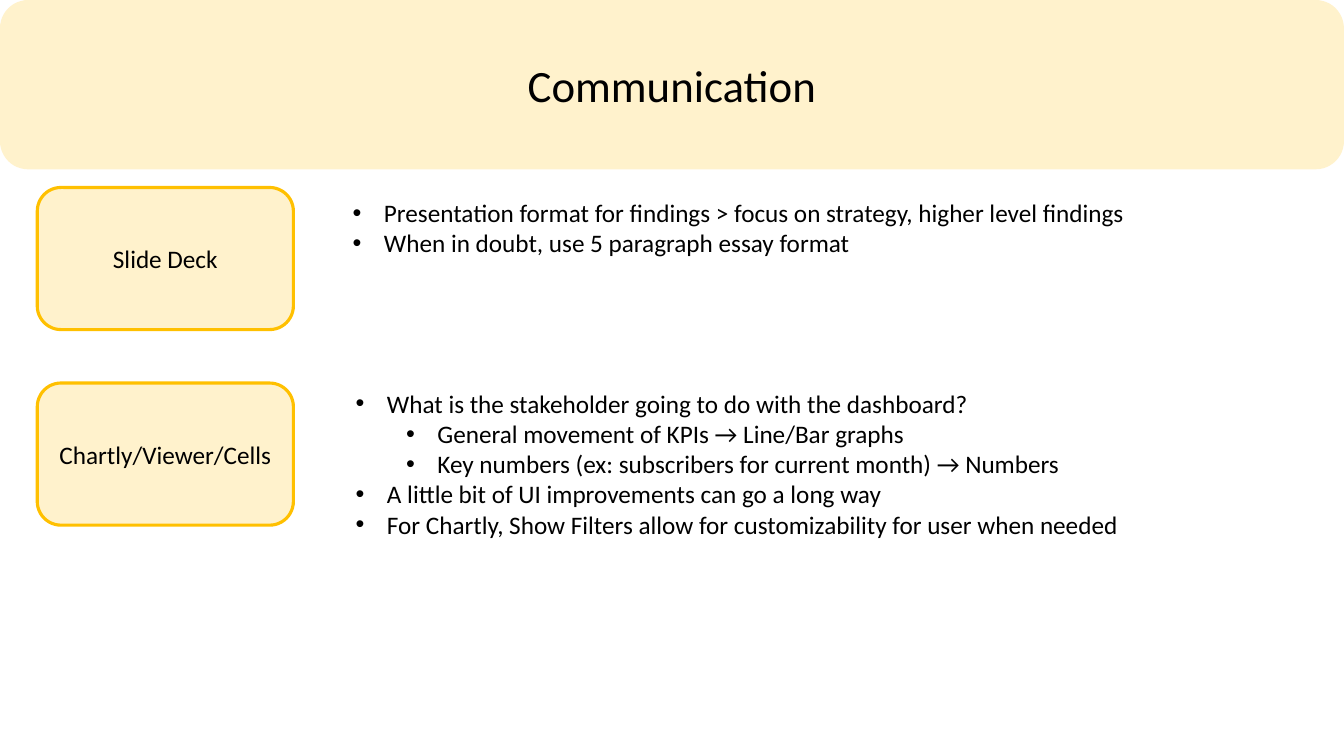
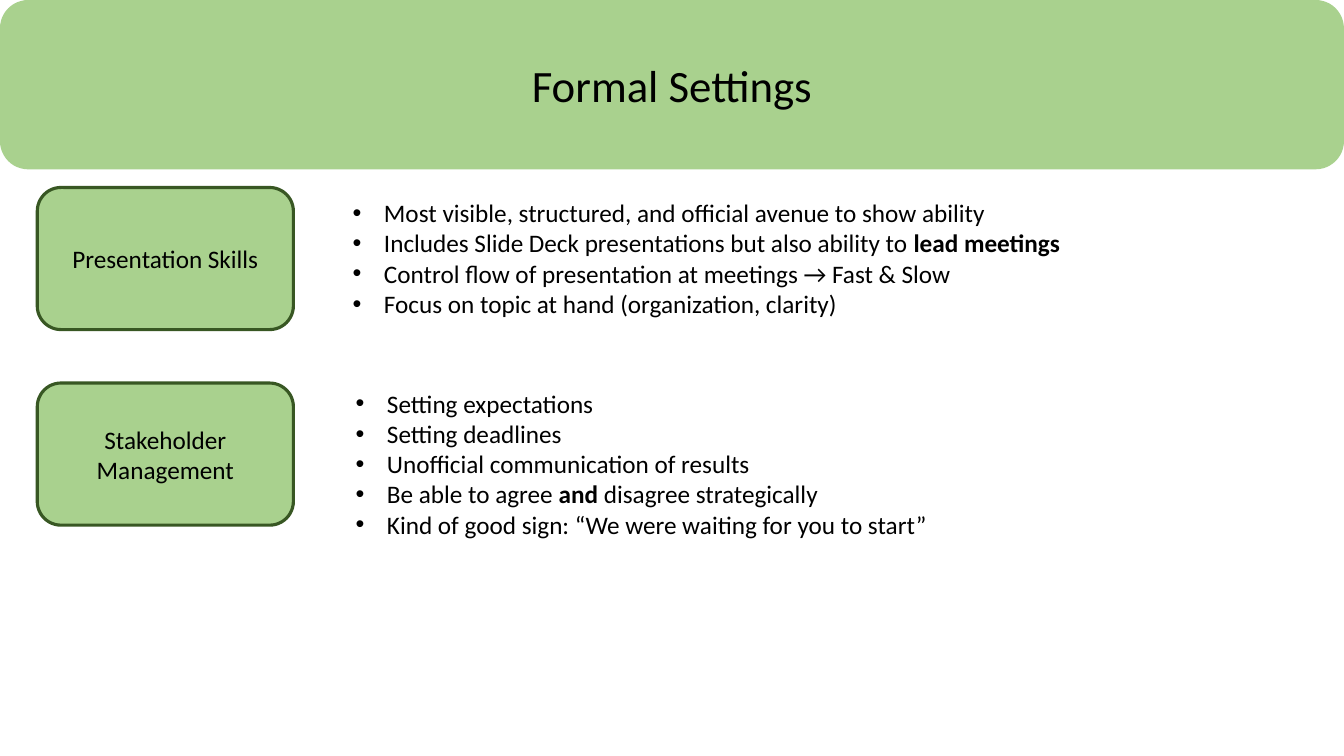
import pptx
import pptx.dml.color
import pptx.enum.shapes
import pptx.enum.text
import pptx.oxml.ns
import pptx.util
from lxml import etree
from pptx.dml.color import RGBColor
from pptx.util import Inches, Pt

ALIGN = pptx.enum.text.PP_ALIGN
ANCHOR = pptx.enum.text.MSO_ANCHOR

BLACK = RGBColor(0x00, 0x00, 0x00)
CREAM = RGBColor(0xFF, 0xF2, 0xCC)
GOLD = RGBColor(0xFF, 0xC0, 0x00)
LIGHT_GREEN = RGBColor(0xA9, 0xD1, 0x8E)
DARK_GREEN = RGBColor(0x38, 0x57, 0x23)

FONT = "Calibri"
TITLE_SIZE, BODY_SIZE = 32, 18
SLIDE_W, SLIDE_H = 13.33, 7.5
BAND_H = 1.68
TOPIC_LEFT, TOPIC_W, TOPIC_H = 0.37, 2.54, 1.41
TOPIC_TOPS = (1.86, 3.8)
# Offset of each row's notes from its topic box: across, down
NOTES_OFFSETS = ((3.03, 0.05), (3.06, 0))
NOTES_W = 9.62
LINE_H, TEXT_INSET = 0.3, 0.05
BULLET_INDENT, LEVEL_STEP = 0.31, 0.5

# Notes are (level, text); *asterisks* enclose bold words.
SLIDES = [
    dict(
        title="Communication", fill=CREAM, outline=GOLD,
        topics=[
            ("Slide Deck", [
                (0, "Presentation format for findings > focus on strategy, "
                    "higher level findings"),
                (0, "When in doubt, use 5 paragraph essay format"),
            ]),
            ("Chartly/Viewer/Cells", [
                (0, "What is the stakeholder going to do with the dashboard?"),
                (1, "General movement of KPIs → Line/Bar graphs"),
                (1, "Key numbers (ex: subscribers for current month) → Numbers"),
                (0, "A little bit of UI improvements can go a long way"),
                (0, "For Chartly, Show Filters allow for customizability "
                    "for user when needed"),
            ]),
        ],
    ),
    dict(
        title="Formal Settings", fill=LIGHT_GREEN, outline=DARK_GREEN,
        topics=[
            ("Presentation Skills", [
                (0, "Most visible, structured, and official avenue to show ability"),
                (0, "Includes Slide Deck presentations but also ability to "
                    "*lead meetings*"),
                (0, "Control flow of presentation at meetings → Fast & Slow"),
                (0, "Focus on topic at hand (organization, clarity)"),
            ]),
            ("Stakeholder Management", [
                (0, "Setting expectations"),
                (0, "Setting deadlines"),
                (0, "Unofficial communication of results"),
                (0, "Be able to agree *and *disagree strategically"),
                (0, "Kind of good sign: “We were waiting for you to start”"),
            ]),
        ],
    ),
]


def write_text(paragraph, text, size=BODY_SIZE, align=ALIGN.LEFT, color=BLACK):
    """Fill a paragraph, with the words between asterisks in bold."""
    paragraph.alignment = align
    for index, part in enumerate(text.split("*")):
        if part:
            run = paragraph.add_run()
            run.text = part
            run.font.name = FONT
            run.font.size = Pt(size)
            run.font.color.rgb = color
            run.font.bold = index % 2 == 1


def add_bullet(paragraph, level):
    paragraph.level = level
    properties = paragraph._p.get_or_add_pPr()
    properties.set("marL", str(Inches(BULLET_INDENT + level * LEVEL_STEP)))
    properties.set("indent", str(-Inches(BULLET_INDENT)))
    qn = pptx.oxml.ns.qn
    etree.SubElement(properties, qn("a:buFont")).set("typeface", "Arial")
    etree.SubElement(properties, qn("a:buChar")).set("char", "•")


def add_rounded_box(slide, box, text, fill, outline=None, size=BODY_SIZE):
    shape = slide.shapes.add_shape(
        pptx.enum.shapes.MSO_SHAPE.ROUNDED_RECTANGLE, *map(Inches, box))
    shape.shadow.inherit = False
    shape.fill.solid()
    shape.fill.fore_color.rgb = fill
    if outline is None:
        shape.line.fill.background()
    else:
        shape.line.color.rgb = outline
        shape.line.width = Pt(2.25)
    frame = shape.text_frame
    frame.word_wrap = True
    frame.vertical_anchor = ANCHOR.MIDDLE
    write_text(frame.paragraphs[0], text, size=size, align=ALIGN.CENTER)


def add_notes(slide, left, top, width, notes):
    height = len(notes) * LINE_H + 2 * TEXT_INSET
    frame = slide.shapes.add_textbox(
        *map(Inches, (left, top, width, height))).text_frame
    frame.word_wrap = True
    frame.auto_size = pptx.enum.text.MSO_AUTO_SIZE.SHAPE_TO_FIT_TEXT
    for index, (level, text) in enumerate(notes):
        paragraph = frame.add_paragraph() if index else frame.paragraphs[0]
        add_bullet(paragraph, level)
        write_text(paragraph, text)


def add_topic_row(slide, left, top, offset, topic, notes, fill, outline):
    """Place a topic box at left, top and its bulleted notes beside it."""
    add_rounded_box(slide, (left, top, TOPIC_W, TOPIC_H), topic, fill, outline)
    across, down = offset
    add_notes(slide, left + across, top + down, NOTES_W, notes)


def add_topic_slide(deck, title, fill, outline, topics):
    slide = deck.slides.add_slide(deck.slide_layouts[6])
    add_rounded_box(slide, (0, 0, SLIDE_W, BAND_H), title, fill, size=TITLE_SIZE)
    for top, offset, (topic, notes) in zip(TOPIC_TOPS, NOTES_OFFSETS, topics):
        add_topic_row(slide, TOPIC_LEFT, top, offset, topic, notes, fill, outline)


def main():
    deck = pptx.Presentation()
    deck.slide_width, deck.slide_height = Inches(SLIDE_W), Inches(SLIDE_H)
    for content in SLIDES:
        add_topic_slide(deck, **content)
    deck.save("out.pptx")


if __name__ == "__main__":
    main()
